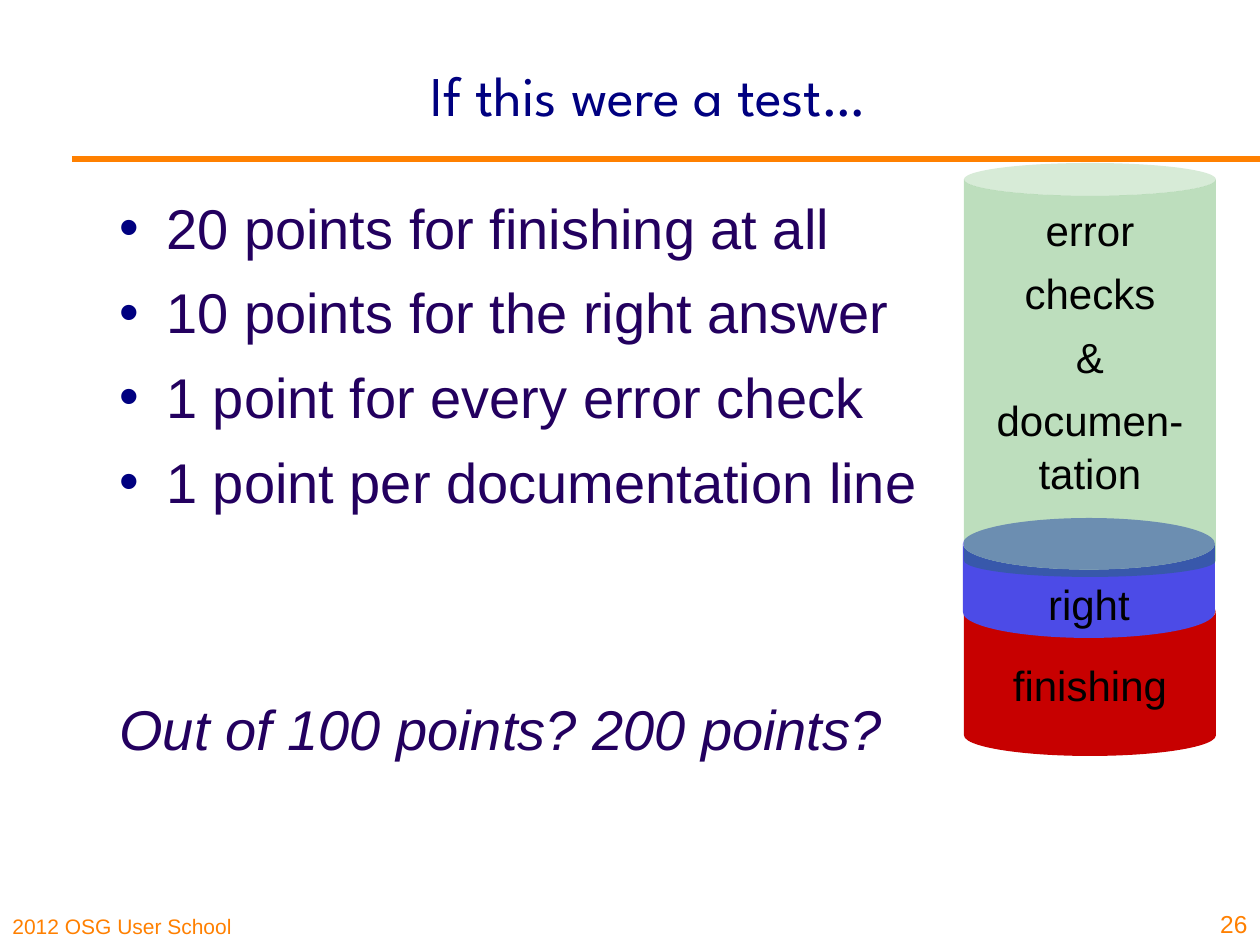
import pptx
import pptx.util
import pptx.dml.color
import pptx.enum.shapes
import pptx.enum.text
import pptx.oxml
import pptx.oxml.ns
import lxml.etree

SCALE = 914400 // 126
ALIGN = pptx.enum.text.PP_ALIGN
ANCHOR = pptx.enum.text.MSO_ANCHOR
ORANGE, NAVY, PURPLE, BLACK = "FF8000", "000080", "23005F", "000000"


def px(length):
    return pptx.util.Emu(length * SCALE)


def color(value):
    return pptx.dml.color.RGBColor.from_string(value)


def child(parent, tag, **attributes):
    return lxml.etree.SubElement(parent, pptx.oxml.ns.qn(tag), **attributes)


def set_frame(box, anchor):
    frame = box.text_frame
    frame.word_wrap = True
    frame.auto_size = pptx.enum.text.MSO_AUTO_SIZE.NONE
    frame.vertical_anchor = anchor
    return frame


def write(para, text, size, fill, font="Arial", align=ALIGN.LEFT, italic=False):
    para.alignment = align
    span = para.add_run()
    span.text = text
    span.font.size = pptx.util.Pt(size)
    span.font.name = font
    span.font.italic = italic
    span.font.color.rgb = color(fill)


def next_para(frame, index, before):
    if index == 0:
        return frame.paragraphs[0]
    para = frame.add_paragraph()
    para.space_before = pptx.util.Pt(before)
    return para


def add_label(page, place, text, size, align):
    box = page.shapes.add_textbox(*map(px, place))
    frame = set_frame(box, ANCHOR.BOTTOM)
    write(frame.paragraphs[0], text, size, ORANGE, align=align)


def add_title(page, text):
    box = page.shapes.title
    box.left, box.top, box.width, box.height = map(px, (169, 15, 958, 158))
    frame = set_frame(box, ANCHOR.MIDDLE)
    write(frame.paragraphs[0], text, 32, NAVY, "League Spartan", ALIGN.CENTER)


def add_rule(page):
    line = page.shapes.add_connector(
        pptx.enum.shapes.MSO_CONNECTOR.STRAIGHT, px(72), px(159), px(1260), px(159))
    line.line.color.rgb = color(ORANGE)
    line.line.width = pptx.util.Pt(3)
    child(line._element.spPr, "a:effectLst")


def add_bullet(para):
    properties = para._p.get_or_add_pPr()
    properties.set("marL", str(px(47)))
    properties.set("indent", str(px(-47)))
    child(child(properties, "a:buClr"), "a:srgbClr", val=NAVY)
    child(properties, "a:buFont", typeface="Arial")
    child(properties, "a:buChar", char="•")


def add_body(page, points, question):
    box = page.shapes.add_textbox(*map(px, (107, 184, 1071, 646)))
    frame = set_frame(box, ANCHOR.TOP)
    for index, point in enumerate(points):
        para = next_para(frame, index, 8)
        para.line_spacing = 1.05
        add_bullet(para)
        write(para, point, 32, PURPLE)
    para = next_para(frame, len(points), 101)
    para.line_spacing = 1.05
    write(para, question, 32, PURPLE, italic=True)


def add_can(page, place, curve, fill, lines, anchor=ANCHOR.TOP, opacity=100):
    can = page.shapes.add_shape(pptx.enum.shapes.MSO_SHAPE.CAN, *map(px, place))
    can.adjustments[0] = curve
    can.shadow.inherit = False
    can.line.fill.background()
    can.fill.solid()
    can.fill.fore_color.rgb = color(fill)
    if opacity < 100:
        tint = can._element.spPr.find(".//" + pptx.oxml.ns.qn("a:srgbClr"))
        child(tint, "a:alpha", val=str(opacity * 1000))
    frame = set_frame(can, anchor)
    for index, text in enumerate(lines):
        para = next_para(frame, index, 6)
        para.line_spacing = 1.05
        write(para, text, 24, BLACK, align=ALIGN.CENTER)


def main():
    deck = pptx.Presentation()
    deck.slide_width, deck.slide_height = px(1260), px(945)
    page = deck.slides.add_slide(deck.slide_layouts[5])
    add_label(page, (0, 892, 312, 53), "2012 OSG User School", 12, ALIGN.LEFT)
    add_rule(page)
    add_title(page, "If this were a test…")
    add_body(page, [
        "20 points for finishing at all",
        "10 points for the right answer",
        "1 point for every error check",
        "1 point per documentation line",
    ], "Out of 100 points? 200 points?")
    add_label(page, (1202, 882, 58, 63), "26", 14, ALIGN.RIGHT)
    add_can(page, (964, 591, 252, 165), 0.25, "C70000", ["finishing"], ANCHOR.MIDDLE)
    add_can(page, (963, 518, 252, 120), 0.43, "4C4BE7", ["right"])
    add_can(page, (964, 163, 252, 414), 0.13, "008000",
            ["error", "checks", "&", "documen-tation"], opacity=26)
    deck.save("out.pptx")


if __name__ == "__main__":
    main()
